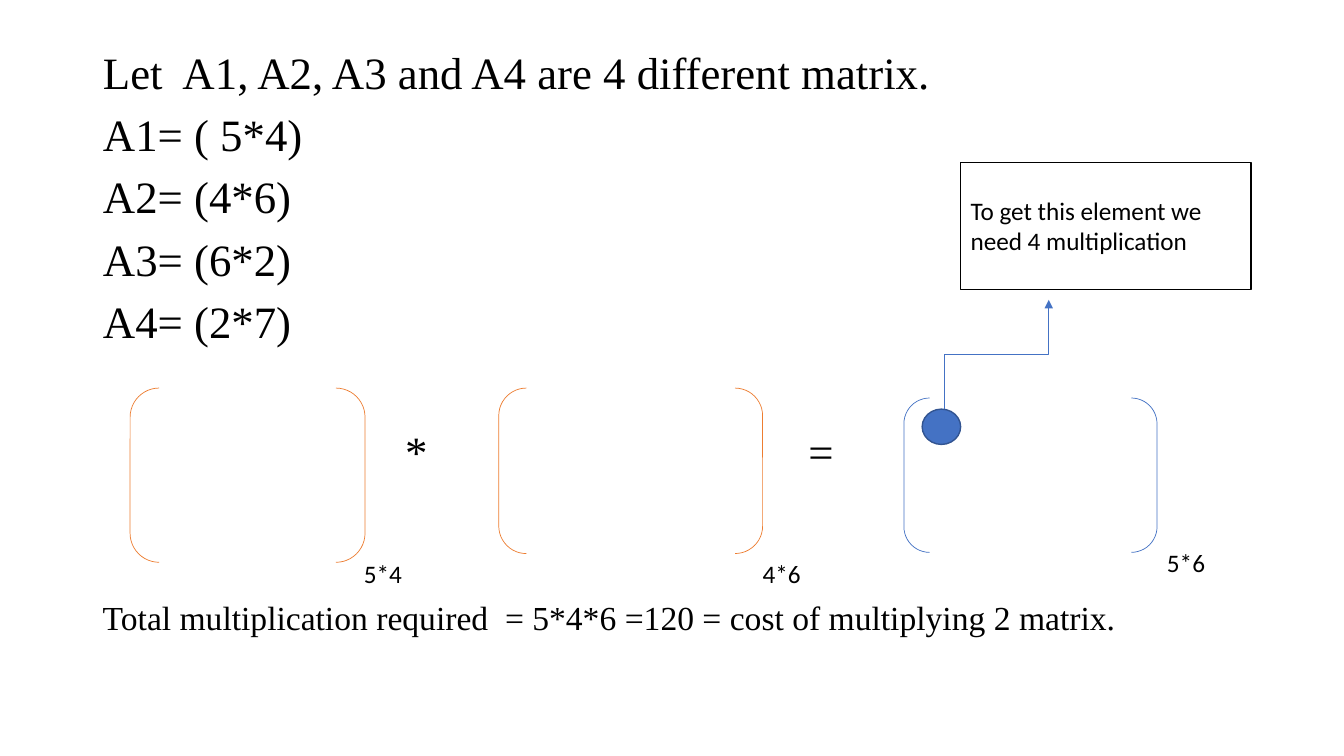
from lxml import etree
from pptx import Presentation
from pptx.dml.color import RGBColor
from pptx.enum.shapes import MSO_CONNECTOR as CONN, MSO_SHAPE as SHAPE
from pptx.enum.text import MSO_ANCHOR as ANCHOR, MSO_AUTO_SIZE as AUTO, PP_ALIGN as ALIGN
from pptx.oxml.ns import qn
from pptx.util import Cm, Pt

SERIF, SANS = "Times New Roman", "Calibri"
BLUE, ORANGE, BLACK = "4472C4", "ED7D31", "000000"


def rgb(value):
    return RGBColor.from_string(value)


def write(sp, lines, size, font, **paragraph_format):
    tf = sp.text_frame
    tf.word_wrap = True
    tf.auto_size = AUTO.NONE
    for i, line in enumerate(lines):
        p = tf.paragraphs[0] if i == 0 else tf.add_paragraph()
        for name, value in {"alignment": ALIGN.LEFT, **paragraph_format}.items():
            setattr(p, name, value)
        r = p.add_run()
        r.text = line
        for name, value in {"size": Pt(size), "name": font}.items():
            setattr(r.font, name, value)
        r.font.color.rgb = rgb(BLACK)


prs = Presentation()
prs.slide_width, prs.slide_height = Cm(33.87), Cm(19.05)
s = prs.slides.add_slide(prs.slide_layouts[1])
title = s.shapes.title.element
title.getparent().remove(title)

# Matrix definitions
body = s.placeholders[1]
body.left, body.top, body.width, body.height = Cm(2.34), Cm(1.14), Cm(29.21), Cm(8.2)
definitions = ["Let  A1, A2, A3 and A4 are 4 different matrix.",
               "A1= ( 5*4)", "A2= (4*6)", "A3= (6*2)", "A4= (2*7)"]
write(body, definitions, 32, SERIF, line_spacing=0.9, space_before=Pt(10))
for p in body.text_frame.paragraphs:
    pPr = p._p.get_or_add_pPr()
    pPr.set("marL", "0")
    pPr.set("indent", "0")
    etree.SubElement(pPr, qn("a:buNone"))

# Matrix brackets
brackets = [(3.28, 9.78, 5.92, 4.39, ORANGE),
            (12.57, 9.78, 6.65, 4.17, ORANGE),
            (22.78, 10.03, 6.38, 3.89, BLUE)]
for left, top, width, height, color in brackets:
    sp = s.shapes.add_shape(SHAPE.DOUBLE_BRACKET, Cm(left), Cm(top), Cm(width), Cm(height))
    sp.shadow.inherit = False
    sp.fill.background()
    sp.line.color.rgb = rgb(color)
    sp.line.width = Pt(0.5)

# Operators, matrix sizes and total
labels = [("*", 9.96, 10.54, 1.5, 1.5, 32, SERIF),
          ("=", 20.12, 10.54, 1.5, 1.5, 32, SERIF),
          ("5*4", 8.92, 13.94, 1.73, 1.02, 18, SANS),
          ("4*6", 18.97, 13.94, 1.73, 1.02, 18, SANS),
          ("5*6", 29.16, 13.67, 1.73, 1.02, 18, SANS),
          ("Total multiplication required  = 5*4*6 =120 = cost of multiplying 2 matrix.",
           2.34, 14.91, 29.21, 1.3, 24, SERIF)]
for text, left, top, width, height, size, font in labels:
    sp = s.shapes.add_textbox(Cm(left), Cm(top), Cm(width), Cm(height))
    write(sp, [text], size, font)

# Highlighted element and its callout
element = s.shapes.add_shape(SHAPE.OVAL, Cm(23.24), Cm(10.31), Cm(0.97), Cm(0.89))
callout = s.shapes.add_shape(SHAPE.RECTANGLE, Cm(24.21), Cm(4.09), Cm(7.32), Cm(3.2))
for sp, fill, line in [(element, BLUE, "325491"), (callout, "FFFFFF", BLACK)]:
    sp.shadow.inherit = False
    sp.fill.solid()
    sp.fill.fore_color.rgb = rgb(fill)
    sp.line.color.rgb = rgb(line)
    sp.line.width = Pt(1)
write(callout, ["To get this element we need 4 multiplication"], 18, SANS)
callout.text_frame.vertical_anchor = ANCHOR.MIDDLE

# The quarter turn makes the elbow leave the element upwards
arrow = s.shapes.add_connector(CONN.ELBOW, Cm(26.49), Cm(10.24), Cm(23.75), Cm(7.62))
arrow.line.color.rgb = rgb(BLUE)
arrow.line.width = Pt(0.5)
spPr = arrow._element.spPr
spPr.find(qn("a:xfrm")).set("rot", "5400000")
etree.SubElement(spPr.find(qn("a:ln")), qn("a:tailEnd"), type="triangle")
etree.SubElement(spPr, qn("a:effectLst"))

prs.save("out.pptx")
